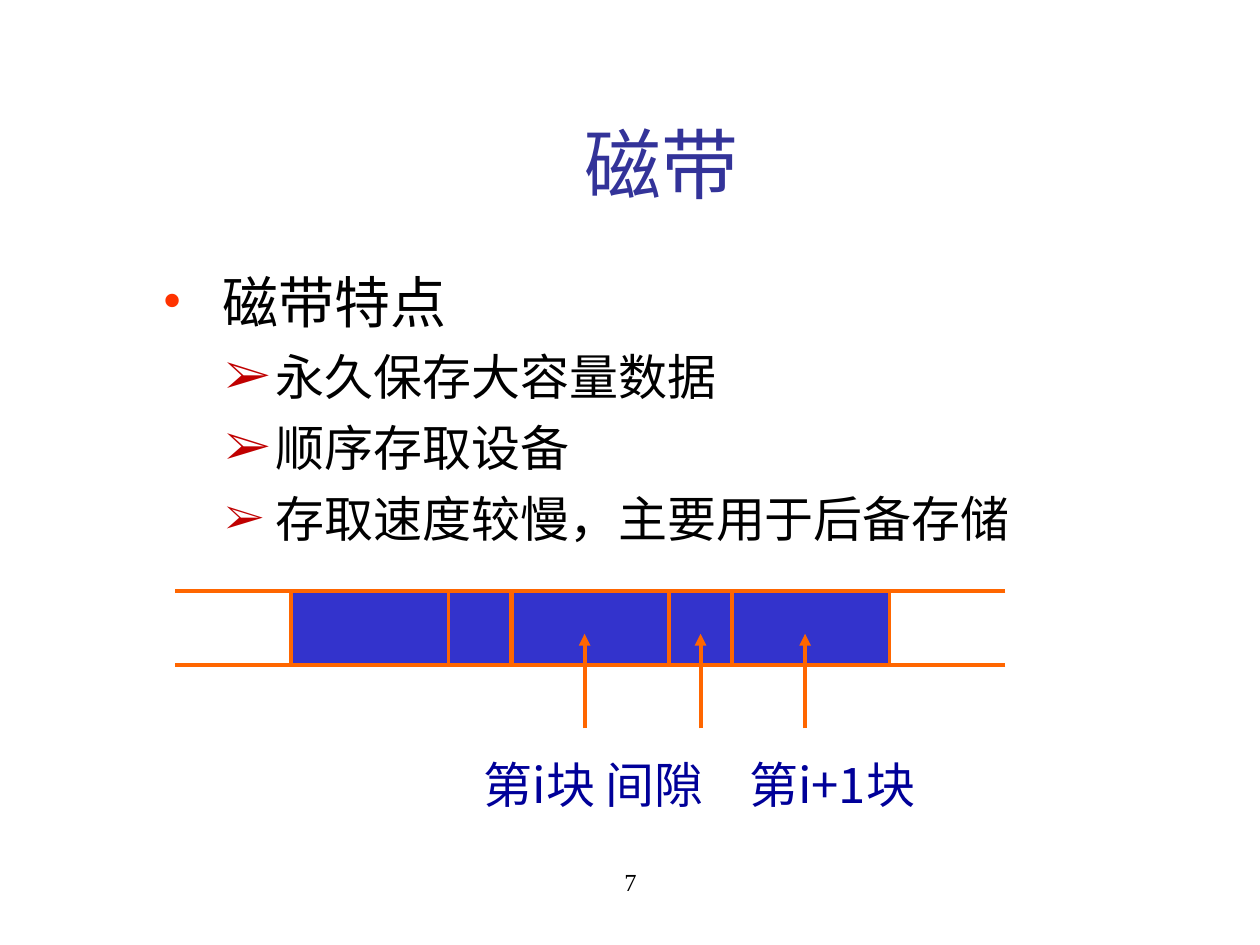
from dataclasses import dataclass

from lxml import etree
from pptx import Presentation
from pptx.dml.color import RGBColor
from pptx.enum.shapes import MSO_CONNECTOR, MSO_SHAPE
from pptx.enum.text import MSO_ANCHOR, PP_ALIGN
from pptx.oxml.ns import qn
from pptx.util import Inches, Pt

CENTER, LEFT = PP_ALIGN.CENTER, PP_ALIGN.LEFT
MIDDLE, TOP = MSO_ANCHOR.MIDDLE, MSO_ANCHOR.TOP
RECTANGLE, STRAIGHT = MSO_SHAPE.RECTANGLE, MSO_CONNECTOR.STRAIGHT


@dataclass(frozen=True)
class Theme:
    sans: str = "Noto Sans CJK SC"
    serif: str = "Times New Roman"
    title: str = "333399"
    text: str = "000000"
    label: str = "000099"
    bullet: str = "FF3300"
    arrow_bullet: str = "C00000"
    tape: str = "3333CC"
    outline: str = "FF6600"
    title_size: int = 44
    heading_size: int = 32
    item_size: int = 28
    number_size: int = 14
    line_width: float = 2.25


THEME = Theme()


def rgb(color):
    return RGBColor.from_string(color)


def add_run(paragraph, text, size, color, font_name):
    run = paragraph.add_run()
    run.text = text
    run.font.size = Pt(size)
    run.font.color.rgb = rgb(color)
    run.font.name = font_name
    east_asian = etree.SubElement(run.font._element, qn("a:ea"))
    east_asian.set("typeface", THEME.sans)


def prepare_frame(shape, anchor):
    frame = shape.text_frame
    frame.word_wrap = True
    frame.vertical_anchor = anchor
    return frame


def add_text_box(slide, box, anchor=TOP):
    return prepare_frame(slide.shapes.add_textbox(*map(Inches, box)), anchor)


def set_bullet(paragraph, character, color, margin, hanging, percent=100):
    properties = paragraph._p.get_or_add_pPr()
    properties.set("marL", str(Inches(margin)))
    properties.set("indent", str(-Inches(hanging)))
    bullet_color = etree.SubElement(properties, qn("a:buClr"))
    etree.SubElement(bullet_color, qn("a:srgbClr")).set("val", color)
    etree.SubElement(properties, qn("a:buSzPct")).set("val", str(percent * 1000))
    etree.SubElement(properties, qn("a:buFont")).set("typeface", THEME.serif)
    etree.SubElement(properties, qn("a:buChar")).set("char", character)


def add_line(slide, start, end, arrow=False):
    line = slide.shapes.add_connector(STRAIGHT, *map(Inches, (*start, *end)))
    line.line.color.rgb = rgb(THEME.outline)
    line.line.width = Pt(THEME.line_width)
    if arrow:
        head = etree.SubElement(line.line._get_or_add_ln(), qn("a:tailEnd"))
        head.set("type", "triangle")
    etree.SubElement(line._element.spPr, qn("a:effectLst"))


def place_title(slide, box):
    title = slide.shapes.title
    title.left, title.top, title.width, title.height = map(Inches, box)
    paragraph = prepare_frame(title, MIDDLE).paragraphs[0]
    paragraph.alignment = CENTER
    add_run(paragraph, "磁带", THEME.title_size, THEME.title, THEME.sans)


def place_features(slide, box):
    frame = add_text_box(slide, box)
    heading = frame.paragraphs[0]
    heading.line_spacing = Pt(1.2 * THEME.heading_size)
    set_bullet(heading, "•", THEME.bullet, 0.48, 0.48)
    add_run(heading, "磁带特点", THEME.heading_size, THEME.text, THEME.serif)

    items = [("永久保存大容量数据", 100), ("顺序存取设备", 100),
             ("存取速度较慢，主要用于后备存储", 86)]
    for text, bullet_percent in items:
        paragraph = frame.add_paragraph()
        paragraph.level = 1
        paragraph.line_spacing = Pt(1.2 * THEME.item_size)
        paragraph.space_before = Pt(7)
        set_bullet(paragraph, "➢", THEME.arrow_bullet, 0.9, 0.4, bullet_percent)
        add_run(paragraph, text, THEME.item_size, THEME.text, THEME.sans)


def place_tape(slide, box):
    left, top, width, height = box
    right, bottom = left + width, top + height
    block, gap, tail = 1.25, 0.5, 0.92

    # Blocks alternate with gaps
    x = left + tail
    for cell_width in (block, gap, block, gap, block):
        cell = slide.shapes.add_shape(
            RECTANGLE, *map(Inches, (x, top, cell_width, height)))
        cell.shadow.inherit = False
        cell.fill.solid()
        cell.fill.fore_color.rgb = rgb(THEME.tape)
        cell.line.color.rgb = rgb(THEME.outline)
        cell.line.width = Pt(THEME.line_width)
        x += cell_width

    # Open tape ends on both sides
    for edge in (left, right - tail):
        for y in (top, bottom):
            add_line(slide, (edge + tail, y), (edge, y))

    # Arrows from the labels into the cells
    for offset in (3.25, 4.17, 5):
        add_line(slide, (left + offset, bottom + 0.5),
                 (left + offset, bottom - 0.25), arrow=True)


def place_labels(slide, box):
    paragraph = add_text_box(slide, box, MIDDLE).paragraphs[0]
    paragraph.alignment = LEFT
    tabs = etree.SubElement(paragraph._p.get_or_add_pPr(), qn("a:tabLst"))
    tab = etree.SubElement(tabs, qn("a:tab"))
    tab.set("pos", str(Inches(2.11)))
    tab.set("algn", "l")
    add_run(paragraph, "第i块 间隙\t第i+1块",
            THEME.item_size, THEME.label, THEME.sans)


def place_number(slide, box):
    paragraph = add_text_box(slide, box).paragraphs[0]
    paragraph.alignment = CENTER
    add_run(paragraph, "7", THEME.number_size, THEME.text, THEME.serif)


def main():
    presentation = Presentation()
    presentation.slide_width = Inches(10)
    presentation.slide_height = Inches(7.5)
    slide = presentation.slides.add_slide(presentation.slide_layouts[5])
    place_number(slide, (3.42, 6.83, 3.17, 0.5))
    place_title(slide, (1, 0.67, 8.5, 1.25))
    place_features(slide, (1.19, 2.07, 8.06, 4.59))
    place_tape(slide, (1.39, 4.69, 6.59, 0.59))
    place_labels(slide, (3.74, 5.94, 4.42, 0.57))
    presentation.save("out.pptx")


if __name__ == "__main__":
    main()
